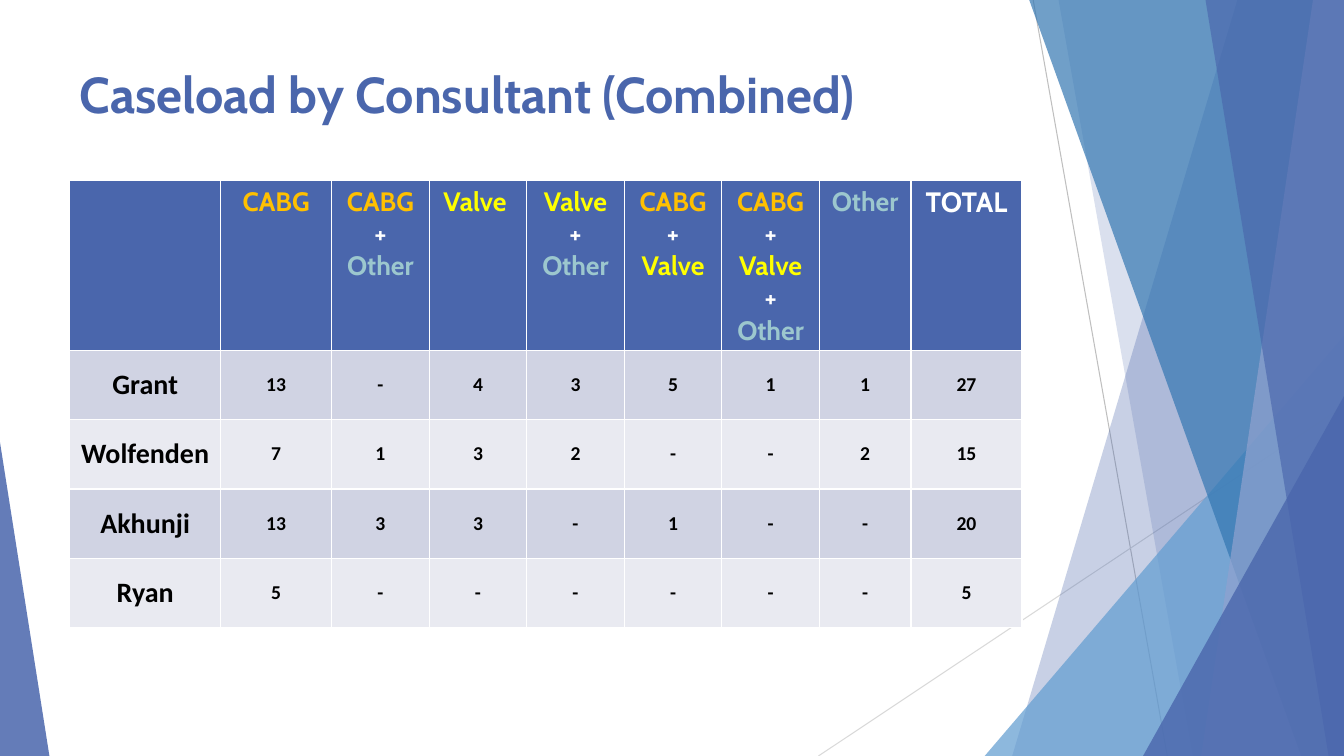
from dataclasses import dataclass

from lxml import etree
from pptx import Presentation
from pptx import util as u
from pptx.dml.color import RGBColor
from pptx.enum import shapes, text
from pptx.oxml.ns import qn

WIDTH, HEIGHT = 960, 540
BAND_TOP = -0.6


@dataclass(frozen=True)
class Theme:
    blue: str = "4A66AC"
    sky: str = "629DD1"
    ocean: str = "3477B2"
    lilac: str = "90A2CF"
    orange: str = "FFC000"
    yellow: str = "FFFF00"
    teal: str = "9CC7CE"
    white: str = "FFFFFF"
    black: str = "000000"
    dark_rule: str = "BFBFBF"
    light_rule: str = "D9D9D9"
    stripes: tuple = ("D0D3E3", "E9EAF1")
    heading_font: str = "Cabin"
    body_font: str = "Calibri"
    title_size: int = 36
    header_size: int = 19
    name_size: int = 20
    value_size: int = 14


class SlideBuilder:
    def __init__(self, slide, theme):
        self.slide = slide
        self.theme = theme

    def paint(self, shape, color, opacity):
        shape.shadow.inherit = False
        shape.line.fill.background()
        shape.fill.solid()
        shape.fill.fore_color.rgb = RGBColor.from_string(color)
        tint = shape.fill._xPr.find(qn("a:solidFill"))[0]
        etree.SubElement(tint, qn("a:alpha"), val=str(opacity * 1000))

    def line(self, start, end, color):
        ends = [u.Pt(value) for value in (*start, *end)]
        line = self.slide.shapes.add_connector(shapes.MSO_CONNECTOR.STRAIGHT, *ends)
        line.line.color.rgb = RGBColor.from_string(color)
        line.line.width = u.Pt(0.75)
        etree.SubElement(line._element.spPr, qn("a:effectLst"))

    def band(self, top_left, bottom_left, color, opacity):
        """Fill from a slanted left edge to the right side of the slide."""
        corners = [(top_left, BAND_TOP), (WIDTH, BAND_TOP), (WIDTH, HEIGHT), (bottom_left, HEIGHT)]
        first, *rest = [(u.Pt(x), u.Pt(y)) for x, y in corners]
        outline = self.slide.shapes.build_freeform(*first)
        outline.add_line_segments(rest, close=True)
        self.paint(outline.convert_to_shape(), color, opacity)

    def triangle(self, left, top, width, apex, color, opacity):
        """Stand a triangle on the bottom edge of the slide."""
        place = [u.Pt(value) for value in (left, top, width, HEIGHT - top)]
        shape = self.slide.shapes.add_shape(shapes.MSO_SHAPE.ISOSCELES_TRIANGLE, *place)
        shape.adjustments[0] = apex
        self.paint(shape, color, opacity)

    def span(self, para, words, font, size, color):
        span = para.add_run()
        span.text = words
        formats = {"name": font, "size": u.Pt(size), "bold": True}
        for name, value in formats.items():
            setattr(span.font, name, value)
        span.font.color.rgb = RGBColor.from_string(color)

    def title(self, words, left, top, width, height):
        box = self.slide.shapes.add_textbox(*[u.Pt(value) for value in (left, top, width, height)])
        frame = box.text_frame
        frame.word_wrap = True
        frame.vertical_anchor = text.MSO_ANCHOR.MIDDLE
        theme = self.theme
        self.span(frame.paragraphs[0], words, theme.heading_font, theme.title_size, theme.blue)

    def table(self, left, top, widths, heights):
        place = [u.Pt(value) for value in (left, top, sum(widths), sum(heights))]
        table = self.slide.shapes.add_table(len(heights), len(widths), *place).table
        for column, width in zip(table.columns, widths):
            column.width = u.Pt(width)
        for row, height in zip(table.rows, heights):
            row.height = u.Pt(height)
        return table

    def cell(self, cell, paragraphs, fill, font, size, formats):
        """Each paragraph is a list of (words, colour) pairs."""
        cell.fill.solid()
        cell.fill.fore_color.rgb = RGBColor.from_string(fill)
        for name, value in formats.items():
            setattr(cell, name, value)
        frame = cell.text_frame
        for index, pieces in enumerate(paragraphs):
            para = frame.add_paragraph() if index else frame.paragraphs[0]
            para.alignment = text.PP_ALIGN.CENTER
            for words, color in pieces:
                self.span(para, words, font, size, color)


# Each heading is a list of paragraphs, each split into coloured pieces
HEADINGS = [
    [],
    [["CABG"]],
    [["CABG", " + ", "Other"]],
    [["Valve "]],
    [["Valve", " + ", "Other"]],
    [["CABG", " + ", "Valve"]],
    [["CABG"], ["+ ", "Valve", " +"], ["Other"]],
    [["Other"]],
    [["TOTAL"]],
]
CASELOAD = [
    ["Grant", "13", "-", "4", "3", "5", "1", "1", "27"],
    ["Wolfenden", "7", "1", "3", "2", "-", "-", "2", "15"],
    ["Akhunji", "13", "3", "3", "-", "1", "-", "-", "20"],
    ["Ryan", "5", "-", "-", "-", "-", "-", "-", "5"],
]


def draw_backdrop(page, theme):
    page.line((738, 0), (833.8, HEIGHT), theme.dark_rule)
    page.line((WIDTH, 290), (584.6, HEIGHT), theme.light_rule)
    page.band(884, 723, theme.blue, 30)
    page.band(756, 852, theme.blue, 20)
    page.triangle(703.4, 239.8, 256.6, 1, theme.sky, 72)
    page.band(735, 929.5, theme.ocean, 70)
    page.band(938, 858, theme.lilac, 70)
    page.band(861, 949, theme.blue, 65)
    page.triangle(816.5, 283, 143.5, 1, theme.blue, 80)
    page.triangle(0, 316, 35.3, 0, theme.blue, 85)


def draw_caseload(page, theme):
    widths = [108, 79.2] + [69.7] * 5 + [65.5, 79.2]
    table = page.table(49.7, 128.9, widths, [117.4] + [49.6] * len(CASELOAD))

    # Header row
    colors = {"CABG": theme.orange, "Valve": theme.yellow, "Other": theme.teal}
    for column, heading in enumerate(HEADINGS):
        paragraphs = [[(words, colors.get(words.strip(), theme.white)) for words in pieces]
                      for pieces in heading]
        size = theme.name_size if heading == [["TOTAL"]] else theme.header_size
        page.cell(table.cell(0, column), paragraphs, theme.blue, theme.heading_font, size, {})

    # Consultant rows
    formats = dict.fromkeys(("margin_left", "margin_top", "margin_right", "margin_bottom"), 0)
    formats["vertical_anchor"] = text.MSO_ANCHOR.MIDDLE
    for row, values in enumerate(CASELOAD):
        for column, value in enumerate(values):
            size = theme.value_size if column else theme.name_size
            page.cell(table.cell(row + 1, column), [[(value, theme.black)]],
                      theme.stripes[row % 2], theme.body_font, size, formats)


def main():
    deck = Presentation()
    deck.slide_width, deck.slide_height = u.Pt(WIDTH), u.Pt(HEIGHT)
    theme = Theme()
    page = SlideBuilder(deck.slides.add_slide(deck.slide_layouts[6]), theme)
    draw_backdrop(page, theme)
    page.title("Caseload by Consultant (Combined)", 49.7, 38.2, 617, 56.2)
    draw_caseload(page, theme)
    deck.save("out.pptx")


if __name__ == "__main__":
    main()
